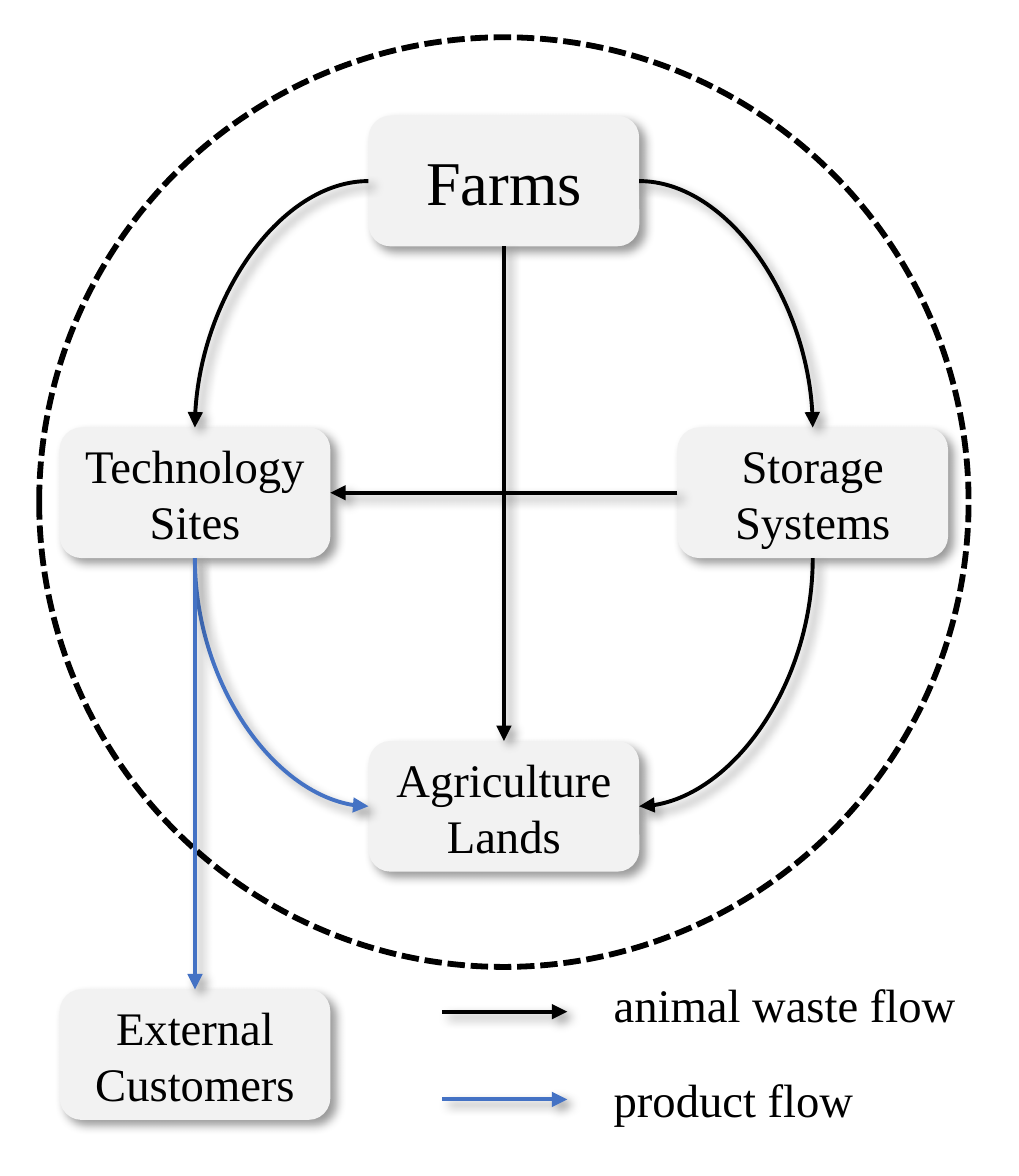
from dataclasses import dataclass
from lxml.etree import SubElement
from pptx import Presentation
from pptx.dml.color import RGBColor
from pptx.enum.dml import MSO_LINE
from pptx.enum.shapes import MSO_CONNECTOR, MSO_SHAPE
from pptx.enum.text import MSO_ANCHOR, PP_ALIGN
from pptx.oxml.ns import qn
from pptx.util import Inches, Pt


@dataclass(frozen=True)
class Theme:
    """Colours, font and type sizes."""
    ink: str = "000000"
    blue: str = "4472C4"
    box: str = "F2F2F2"
    font: str = "Times New Roman"
    big: int = 24
    body: int = 18


THEME = Theme()
TOP, LEFT, BOTTOM, RIGHT = range(4)
WASTE, PRODUCT = THEME.ink, THEME.blue

# name: label, column, row, type size
NODES = {
    "farms": ("Farms", 1, 0, THEME.big),
    "store": ("Storage Systems", 2, 1, THEME.body),
    "tech": ("Technology Sites", 0, 1, THEME.body),
    "lands": ("Agriculture Lands", 1, 2, THEME.body),
    "buyers": ("External Customers", 0, 3, THEME.body),
}
# Curves leave a box side and meet a top or bottom; "headEnd" reverses the flow
CURVES = [
    ("farms", LEFT, "tech", TOP, WASTE, "tailEnd"),
    ("farms", RIGHT, "store", TOP, WASTE, "tailEnd"),
    ("lands", LEFT, "tech", BOTTOM, PRODUCT, "headEnd"),
    ("lands", RIGHT, "store", BOTTOM, WASTE, "headEnd"),
]
LINES = [
    ("farms", BOTTOM, "lands", TOP, WASTE),
    ("store", LEFT, "tech", RIGHT, WASTE),
    ("tech", BOTTOM, "buyers", TOP, PRODUCT),
]
# label, colour, arrow height, text top
LEGEND = [
    ("animal waste flow", WASTE, 5.42, 5.18),
    ("product flow", PRODUCT, 5.89, 5.69),
]
BOX_W, BOX_H = 1.45, 0.7
COL_X, COL_GAP = 0.32, 1.655
ROW_Y = (0.62, 2.29, 3.97, 5.3)


def add_shadow(shape):
    """Give a shape or connector a soft shadow to the lower right."""
    props = shape._element.spPr
    glow = props.find(qn("a:effectLst"))
    if glow is None:
        glow = SubElement(props, qn("a:effectLst"))
    cast = SubElement(glow, qn("a:outerShdw"), blurRad=str(Pt(4)),
                      dist=str(Pt(3)), dir="2700000", algn="tl", rotWithShape="0")
    tint = SubElement(cast, qn("a:srgbClr"), val=THEME.ink)
    SubElement(tint, qn("a:alpha"), val="40000")


def set_text(shape, text, size, align):
    """Write one styled paragraph."""
    frame = shape.text_frame
    frame.word_wrap = True
    frame.text = text
    para = frame.paragraphs[0]
    para.alignment = align
    font = para.runs[0].font
    font.name, font.size = THEME.font, Pt(size)
    font.color.rgb = RGBColor.from_string(THEME.ink)


def add_box(shapes, text, col, row, size):
    """Place a rounded box on the grid."""
    box = shapes.add_shape(
        MSO_SHAPE.ROUNDED_RECTANGLE, Inches(COL_X + col * COL_GAP),
        Inches(ROW_Y[row]), Inches(BOX_W), Inches(BOX_H))
    box.fill.solid()
    box.fill.fore_color.rgb = RGBColor.from_string(THEME.box)
    box.line.fill.background()
    box.shadow.inherit = False
    add_shadow(box)
    set_text(box, text, size, PP_ALIGN.CENTER)
    box.text_frame.vertical_anchor = MSO_ANCHOR.MIDDLE


def style_arrow(arrow, color, end="tailEnd"):
    """Set line, arrowhead and shadow of a connector."""
    arrow.line.width = Pt(1.5)
    arrow.line.color.rgb = RGBColor.from_string(color)
    SubElement(arrow.line._get_or_add_ln(), qn("a:" + end), type="triangle")
    add_shadow(arrow)


def link(shapes, kind, start, site, stop, goal):
    """Join two boxes at their connection sites."""
    arrow = shapes.add_connector(kind, 0, 0, 0, 0)
    arrow.begin_connect(start, site)
    arrow.end_connect(stop, goal)
    return arrow


def add_ring(shapes):
    """Draw the dashed system boundary."""
    ring = shapes.add_shape(MSO_SHAPE.OVAL, Inches(0.21), Inches(0.2),
                            Inches(4.98), Inches(4.98))
    ring.fill.background()
    ring.line.color.rgb = RGBColor.from_string(THEME.ink)
    ring.line.width = Pt(2.25)
    ring.line.dash_style = MSO_LINE.SQUARE_DOT
    ring.shadow.inherit = False


def main():
    """Build the flow diagram."""
    deck = Presentation()
    deck.slide_width, deck.slide_height = Inches(5.46), Inches(6.3)
    shapes = deck.slides.add_slide(deck.slide_layouts[6]).shapes
    add_ring(shapes)
    boxes = {}
    for name, node in NODES.items():
        add_box(shapes, *node)
        boxes[name] = shapes[-1]
    for start, site, stop, goal, color, end in CURVES:
        arrow = link(shapes, MSO_CONNECTOR.CURVE, boxes[start], site,
                     boxes[stop], goal)
        arrow._element.spPr.find(qn("a:prstGeom")).set("prst", "curvedConnector2")
        style_arrow(arrow, color, end)
    for start, site, stop, goal, color in LINES:
        arrow = link(shapes, MSO_CONNECTOR.STRAIGHT, boxes[start], site,
                     boxes[stop], goal)
        style_arrow(arrow, color)
    for text, color, mid, top in LEGEND:
        arrow = shapes.add_connector(MSO_CONNECTOR.STRAIGHT, Inches(2.37),
                                     Inches(mid), Inches(3.04), Inches(mid))
        style_arrow(arrow, color)
        label = shapes.add_textbox(Inches(3.19), Inches(top),
                                   Inches(2.16), Inches(0.4))
        set_text(label, text, THEME.body, PP_ALIGN.LEFT)
    deck.save("out.pptx")


main()
